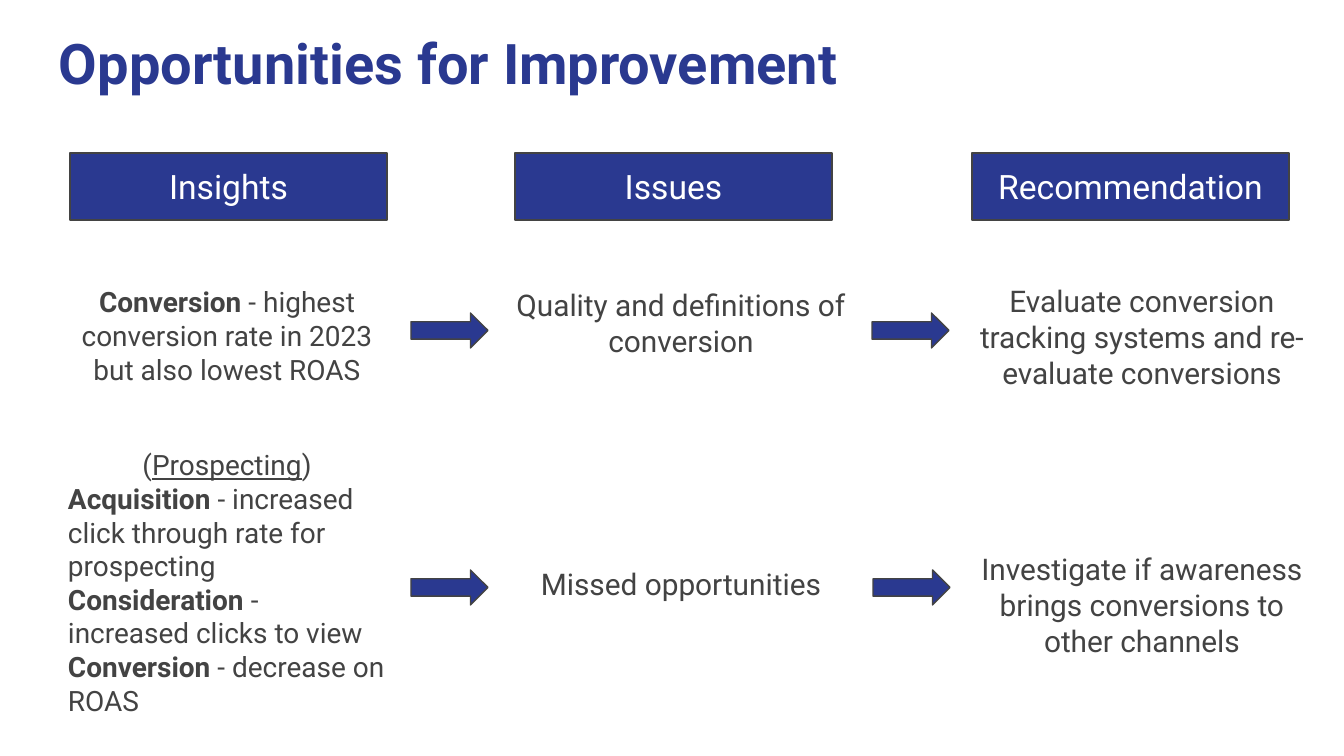
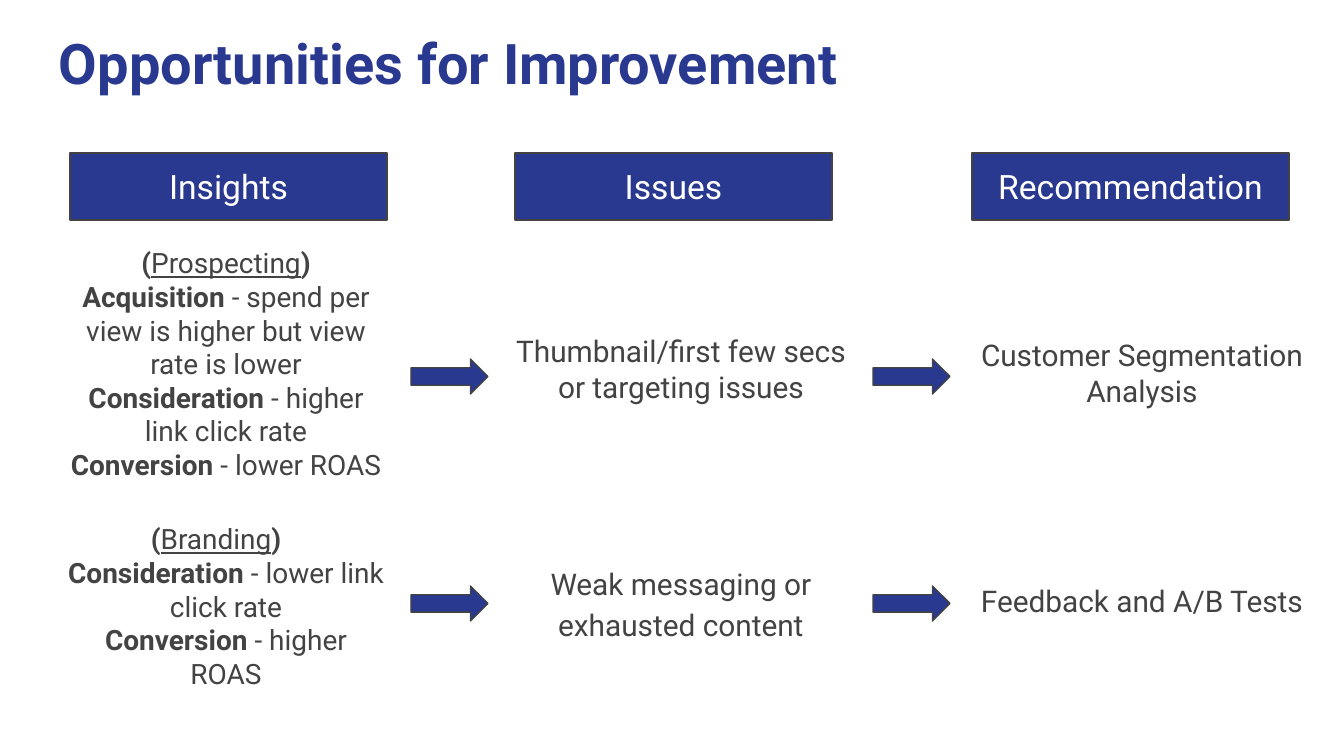
from dataclasses import dataclass

from pptx import Presentation
from pptx.dml.color import RGBColor as Rgb
from pptx.enum.shapes import MSO_SHAPE as Kind
from pptx.enum.text import MSO_ANCHOR as Anchor, MSO_AUTO_SIZE as Fit, PP_ALIGN as Align
from pptx.util import Pt

PX = 914400 / 134.4


@dataclass(frozen=True)
class Theme:
    font: str = "Roboto"
    blue: str = "2A3990"
    gray: str = "434343"
    white: str = "FFFFFF"
    title: int = 30
    head: int = 18
    body: int = 16
    note: int = 15
    inset: int = 13
    line: float = 0.75


@dataclass
class Par:
    runs: list  # pairs of text and style: "b" bold, "u" underlined, "" plain
    align: Align = Align.CENTER
    right: int = 0  # right margin in px


@dataclass
class Row:
    note: list
    note_box: tuple
    issue: str
    issue_top: int
    fix: str
    fix_box: tuple
    arrow_top: int
    arrows: tuple = (411, 873)
    space: float = 1.0


THEME = Theme()
TITLE = "Opportunities for Improvement"
HEADS = {"Insights": 70, "Issues": 515, "Recommendation": 972}
ISSUE_X, FIX_X = 499, 960


def px(*nums):
    return [round(n * PX) for n in nums]


def write(frame, pars, size=THEME.body, color=THEME.gray, bold=False,
          align=Align.CENTER, anchor=Anchor.TOP, space=1.0):
    """Fill a text frame from a string or a list of Par."""
    frame.word_wrap = True
    frame.auto_size = Fit.NONE
    frame.vertical_anchor = anchor
    inset, = px(THEME.inset)
    frame.margin_left = frame.margin_right = inset
    frame.margin_top = frame.margin_bottom = inset
    if isinstance(pars, str):
        pars = [Par([(pars, "b" if bold else "")], align)]
    for i, par in enumerate(pars):
        para = frame.add_paragraph() if i else frame.paragraphs[0]
        para.alignment = par.align
        para.line_spacing = space
        para.space_before = para.space_after = Pt(0)
        props = para._p.get_or_add_pPr()
        for key, val in (("marL", 0), ("marR", px(par.right)[0]), ("indent", 0)):
            props.set(key, str(val))
        for words, style in par.runs:
            if words == "\n":
                para.add_line_break()
                continue
            run = para.add_run()
            run.text = words
            font = run.font
            font.name, font.size = THEME.font, Pt(size)
            font.color.rgb = Rgb.from_string(color)
            font.bold, font.underline = style == "b", style == "u"


def place(holder, box, words, **form):
    """Move a placeholder, drop its bullet and fill it."""
    holder.left, holder.top, holder.width, holder.height = px(*box)
    write(holder.text_frame, words, **form)
    for para in holder.text_frame.paragraphs:
        props = para._p.get_or_add_pPr()
        if props.find("{*}buNone") is None:
            props.append(props.makeelement(
                "{http://schemas.openxmlformats.org/drawingml/2006/main}buNone", {}))


def block(slide, kind, box):
    shape = slide.shapes.add_shape(kind, *px(*box))
    shape.shadow.inherit = False
    shape.fill.solid()
    shape.fill.fore_color.rgb = Rgb.from_string(THEME.blue)
    shape.line.color.rgb = Rgb.from_string(THEME.gray)
    shape.line.width = Pt(THEME.line)
    return shape


def note(slide, box, pars):
    area = slide.shapes.add_textbox(*px(*box))
    write(area.text_frame, pars, size=THEME.note)


def flow(slide, row, issue, fix):
    """One row: insight, arrow, issue, arrow, recommendation."""
    note(slide, row.note_box, row.note)
    place(issue, (ISSUE_X, row.issue_top, 364, 114), row.issue, space=row.space)
    top, high = row.fix_box
    place(fix, (FIX_X, top, 364, high), row.fix)
    for left in row.arrows:
        block(slide, Kind.RIGHT_ARROW, (left, row.arrow_top, 77, 35))


def page(deck, rows):
    slide = deck.slides.add_slide(deck.slide_layouts.get_by_name("Comparison"))
    title, *holds = slide.placeholders
    place(title, (46, 16, 1252, 89), TITLE, size=THEME.title,
          color=THEME.blue, bold=True, align=Align.LEFT)
    for name, left in HEADS.items():
        head = block(slide, Kind.RECTANGLE, (left, 153, 317, 67))
        write(head.text_frame, name, size=THEME.head, color=THEME.white,
              anchor=Anchor.MIDDLE)
    for row, issue, fix in zip(rows, holds[::2], holds[1::2]):
        flow(slide, row, issue, fix)


def point(name, rest, align=Align.CENTER):
    return Par([(name, "b"), (f" - {rest}", "")], align)


def group(name, style="b", right=0):
    return Par([("(", style), (name, "u"), (")", style)], right=right)


# Content of the two slides
FIRST = [
    Row([point("Conversion", "highest conversion rate in 2023 but also lowest ROAS")],
        (55, 272, 344, 192),
        "Quality and definitions of conversion", 274,
        "Evaluate conversion tracking systems and re-evaluate conversions", (270, 106),
        313, arrows=(411, 872)),
    Row([group("Prospecting", ""),
         point("Acquisition", "increased click through rate for prospecting", Align.LEFT),
         point("Consideration", "increased clicks to view", Align.LEFT),
         point("Conversion", "decrease on ROAS", Align.LEFT)],
        (55, 435, 344, 226),
        "Missed opportunities", 547,
        "Investigate if awareness brings conversions to other channels", (538, 67),
        570, space=1.15),
]
SECOND = [
    Row([group("Prospecting"),
         point("Acquisition", "spend per view is higher but view rate is lower"),
         point("Consideration", "higher link click rate"),
         point("Conversion", "lower ROAS")],
        (54, 233, 344, 226),
        "Thumbnail/first few secs or targeting issues", 320,
        "Customer Segmentation Analysis", (324, 106), 359),
    Row([group("Branding", right=20),
         point("Consideration", "lower link click rate"),
         Par([("Conversion", "b"), (" - higher", ""), ("\n", ""), ("ROAS", "")])],
        (54, 509, 344, 226),
        "Weak messaging or exhausted content", 547,
        "Feedback and A/B Tests", (570, 67), 586, space=1.15),
]


def main():
    deck = Presentation()
    deck.slide_width, deck.slide_height = px(1344, 756)
    for rows in (FIRST, SECOND):
        page(deck, rows)
    deck.save("out.pptx")


if __name__ == "__main__":
    main()
